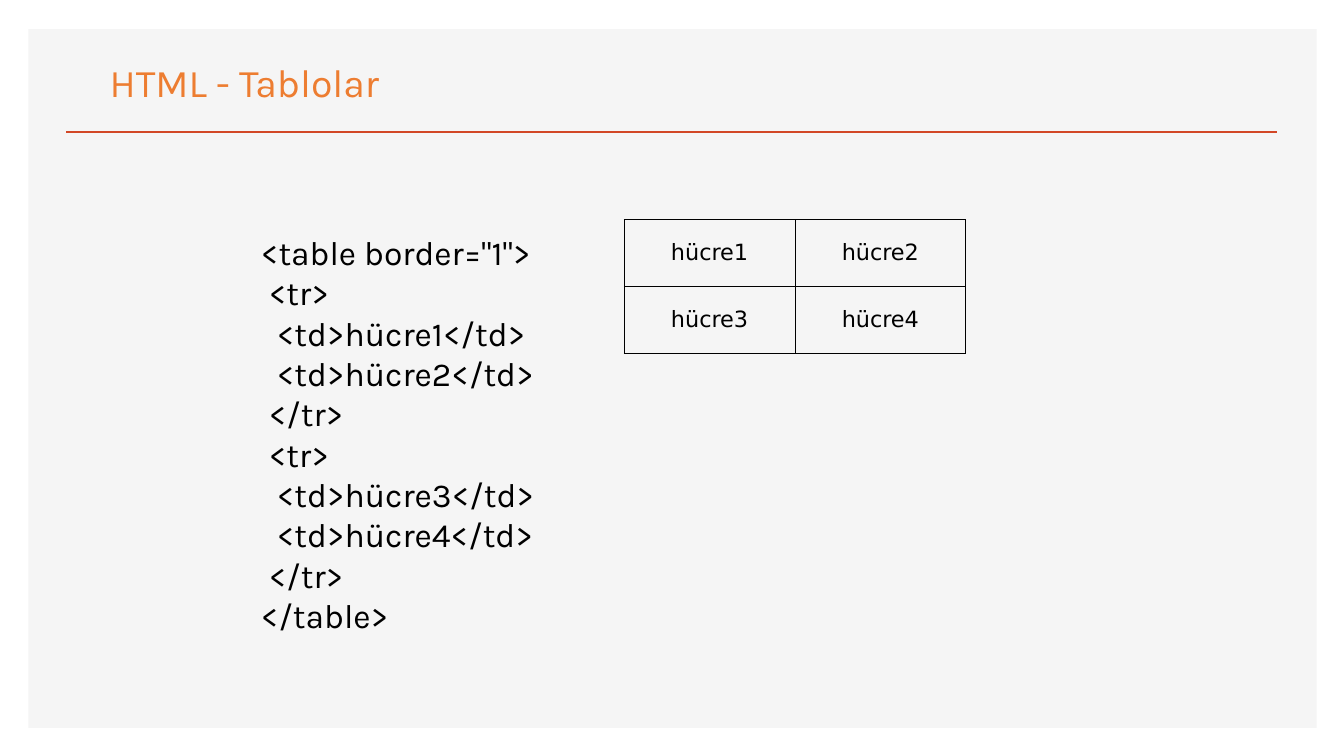
import pptx
import pptx.dml.color
import pptx.enum.shapes
import pptx.enum.text
import pptx.oxml
import pptx.oxml.ns
import pptx.util
from lxml import etree

Pt = pptx.util.Pt
ANCHOR = pptx.enum.text.MSO_ANCHOR
qn = pptx.oxml.ns.qn

# Content
TITLE = "HTML - Tablolar"
CODE_LINES = [
    '<table border="1">',
    " <tr>",
    "  <td>hücre1</td>",
    "  <td>hücre2</td>",
    " </tr>",
    " <tr>",
    "  <td>hücre3</td>",
    "  <td>hücre4</td>",
    " </tr>",
    "</table>",
]
CELLS = [["hücre1", "hücre2"], ["hücre3", "hücre4"]]

# Style and layout, in points
PANEL, RULE, ORANGE, BLACK = "F5F5F5", "D24726", "ED7D31", "000000"
PANEL_BOX = (20.2, 20.9, 920.2, 499)
RULE_LEFT, RULE_RIGHT, RULE_TOP = 47.5, 912.2, 94.3
TITLE_BOX = (71.3, 38.2, 212.4, 41)
CODE_BOX = (179.3, 160.6, 230.4, 298)
TABLE_LEFT, TABLE_TOP, COLUMN_WIDTH, ROW_HEIGHT = 445.9, 156.8, 122, 47.8


def colour(code):
    return pptx.dml.color.RGBColor.from_string(code)


def style_text(frame, size, font, code):
    for para in frame.paragraphs:
        for span in para.runs:
            span.font.size = Pt(size)
            span.font.name = font
            span.font.color.rgb = colour(code)


def add_text(page, area, text, size, code, anchor):
    frame = page.shapes.add_textbox(*map(Pt, area)).text_frame
    frame.word_wrap = False
    frame.auto_size = pptx.enum.text.MSO_AUTO_SIZE.SHAPE_TO_FIT_TEXT
    frame.vertical_anchor = anchor
    frame.paragraphs[0].text = text
    style_text(frame, size, "Karla", code)


def add_borders(cell, width, code):
    properties = cell._tc.get_or_add_tcPr()
    for index, side in enumerate(("lnL", "lnR", "lnT", "lnB")):
        border = etree.Element(qn("a:" + side), w=str(Pt(width)))
        fill = etree.SubElement(border, qn("a:solidFill"))
        etree.SubElement(fill, qn("a:srgbClr"), val=code)
        properties.insert(index, border)


deck = pptx.Presentation()
deck.slide_width, deck.slide_height = Pt(960), Pt(540)
page = deck.slides.add_slide(deck.slide_layouts[6])

# Background panel
panel = page.shapes.add_shape(
    pptx.enum.shapes.MSO_SHAPE.RECTANGLE, *map(Pt, PANEL_BOX))
panel.shadow.inherit = False
panel.fill.solid()
panel.fill.fore_color.rgb = colour(PANEL)
panel.line.fill.background()

# Rule below the title
rule = page.shapes.add_connector(
    pptx.enum.shapes.MSO_CONNECTOR.STRAIGHT,
    Pt(RULE_LEFT), Pt(RULE_TOP), Pt(RULE_RIGHT), Pt(RULE_TOP))
rule.line.color.rgb = colour(RULE)
rule.line.width = Pt(2)
etree.SubElement(rule._element.spPr, qn("a:effectLst"))

# Rendered table
rows, columns = len(CELLS), len(CELLS[0])
table = page.shapes.add_table(
    rows, columns, Pt(TABLE_LEFT), Pt(TABLE_TOP),
    Pt(columns * COLUMN_WIDTH), Pt(rows * ROW_HEIGHT)).table
table.first_row = table.horz_banding = False
for column in table.columns:
    column.width = Pt(COLUMN_WIDTH)
for row, texts in zip(table.rows, CELLS):
    row.height = Pt(ROW_HEIGHT)
    for cell, text in zip(row.cells, texts):
        cell.fill.background()
        cell.vertical_anchor = ANCHOR.MIDDLE
        cell.text_frame.text = text
        cell.text_frame.paragraphs[0].alignment = pptx.enum.text.PP_ALIGN.CENTER
        style_text(cell.text_frame, 16, "DejaVu Sans", BLACK)
        add_borders(cell, 0.75, BLACK)

# Code listing and title
add_text(page, CODE_BOX, "\n".join(CODE_LINES), 24, BLACK, ANCHOR.MIDDLE)
add_text(page, TITLE_BOX, TITLE, 28, ORANGE, ANCHOR.TOP)

deck.save("out.pptx")
